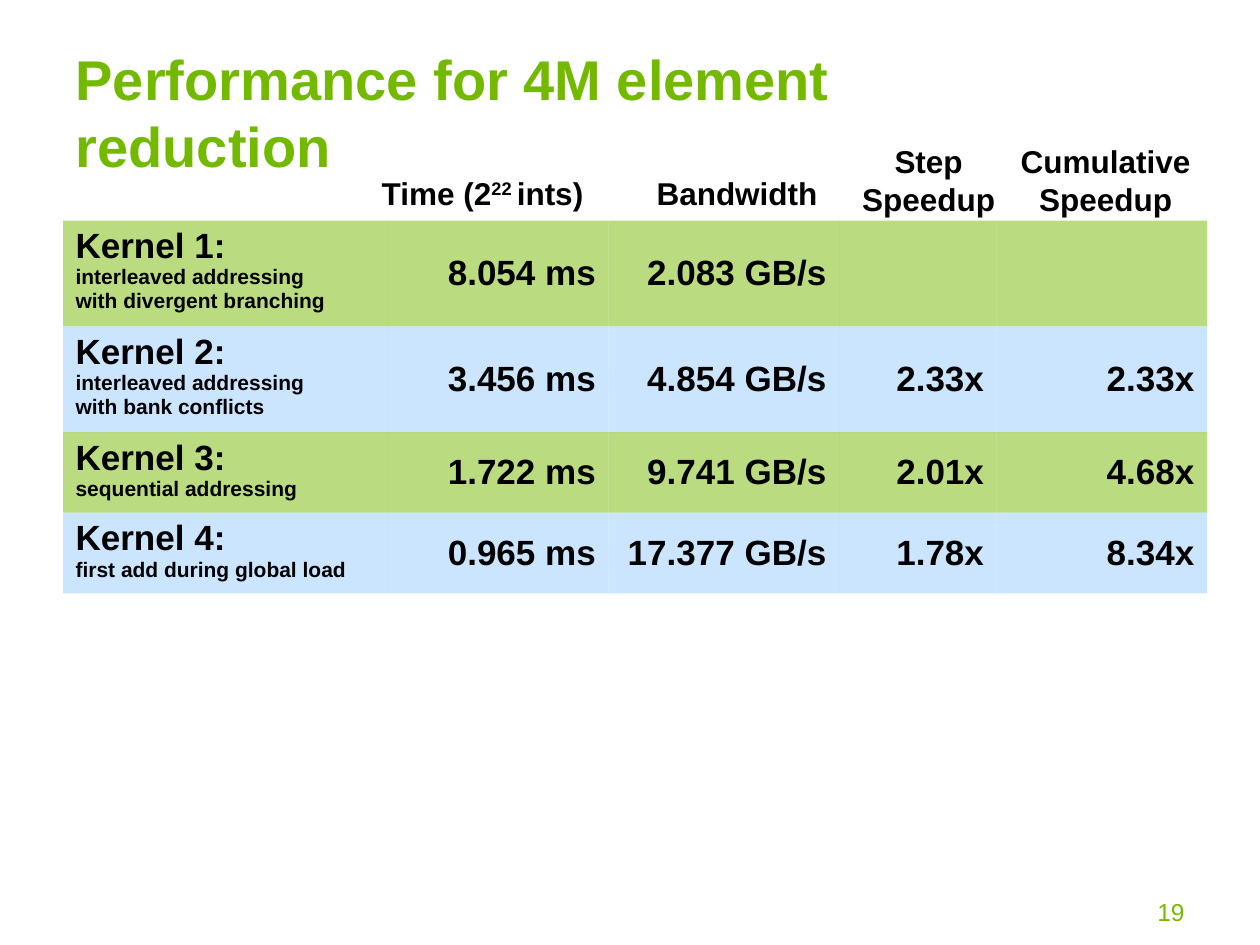
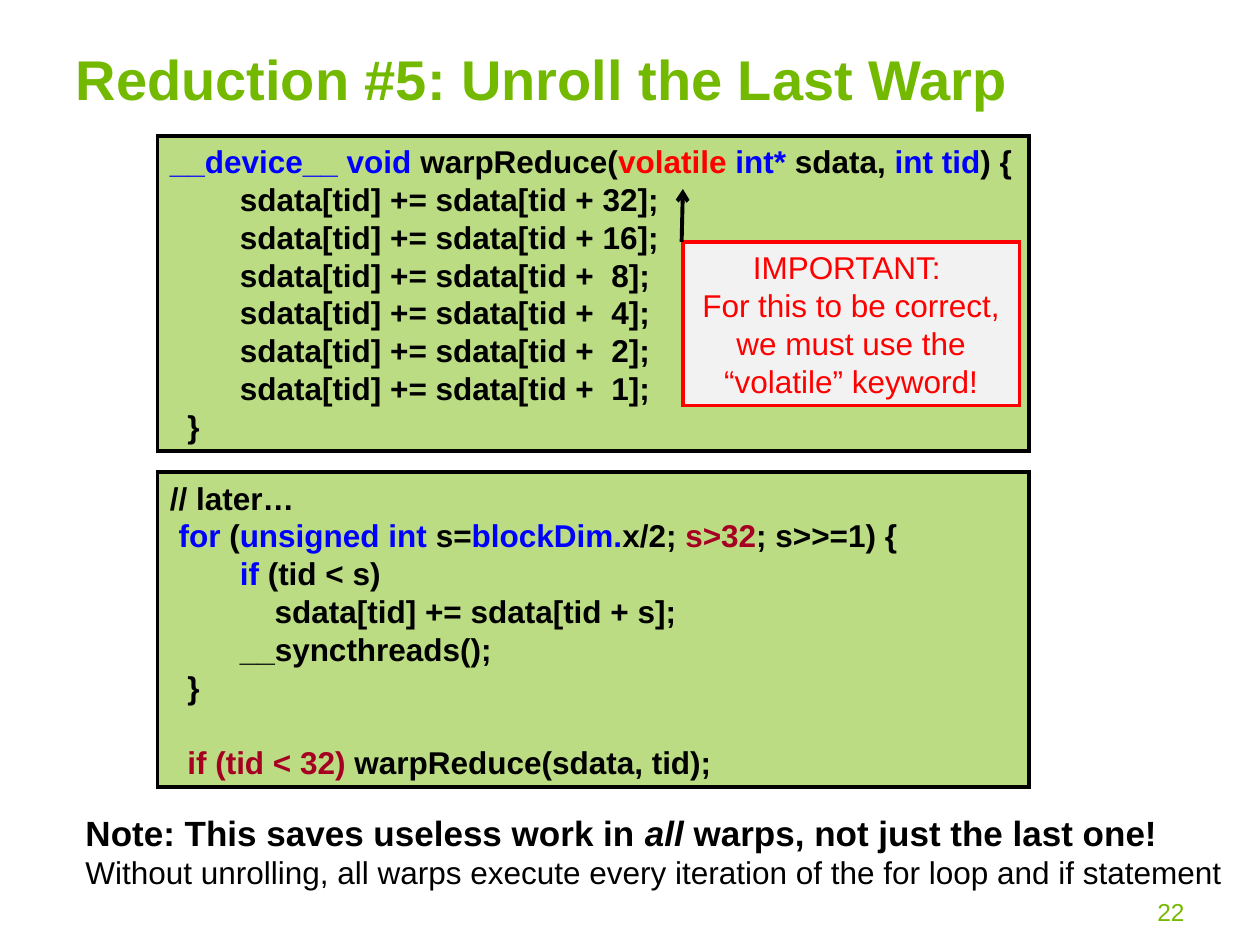
from dataclasses import dataclass

from lxml import etree
from pptx import Presentation
from pptx.dml.color import RGBColor
from pptx.enum.shapes import MSO_CONNECTOR, MSO_SHAPE
from pptx.enum.text import MSO_ANCHOR, MSO_AUTO_SIZE, PP_ALIGN
from pptx.oxml.ns import qn
from pptx.util import Inches, Pt


@dataclass(frozen=True)
class Theme:
    font: str = "Arial"
    title: str = "73B900"
    green: str = "76B900"
    blue: str = "99CCFF"
    black: str = "000000"
    keyword: str = "0000FF"
    alert: str = "FF0000"
    changed: str = "A50021"
    callout: str = "F2F2F2"
    title_size: int = 32
    big: int = 20
    text: int = 18
    page: int = 14
    small: int = 12


T = Theme()
NO_TABLE_STYLE = "{2D5ABB26-0587-4C30-8999-92F81FD0307C}"

# A line is a list of (text, format) runs.
KEY, ALERT, CHANGED = ({"color": c} for c in (T.keyword, T.alert, T.changed))
PLAIN = {}

TABLE_TITLE = "Performance for 4M element reduction"
HEADINGS = [  # left, top, width, height, runs
    (2.93, 1.33, 1.8, 0.4,
     [("Time (2", PLAIN), ("22 ", {"baseline": 30000}), ("ints)", PLAIN)]),
    (5.11, 1.33, 1.48, 0.4, [("Bandwidth", PLAIN)]),
    (6.71, 1.08, 1.32, 0.7, [("Step\vSpeedup", PLAIN)]),
    (8, 1.08, 1.55, 0.7, [("Cumulative\vSpeedup", PLAIN)]),
]
KERNELS = [  # name, description, measured values
    ("Kernel 1:", "interleaved addressing\vwith divergent branching",
     ["8.054 ms", "2.083 GB/s", "", ""]),
    ("Kernel 2:", "interleaved addressing\vwith bank conflicts",
     ["3.456 ms", "4.854 GB/s", "2.33x", "2.33x"]),
    ("Kernel 3:", "sequential addressing",
     ["1.722 ms", "9.741 GB/s", "2.01x", "4.68x"]),
    ("Kernel 4:", "first add during global load",
     ["0.965 ms", "17.377 GB/s", "1.78x", "8.34x"]),
]
COLUMN_WIDTHS = [2.58, 1.75, 1.83, 1.25, 1.67]
ROW_HEIGHTS = [0.84, 0.84, 0.64, 0.64]

CODE_TITLE = "Reduction #5: Unroll the Last Warp"
WARP_CODE = [
    [("__device__ void ", KEY), ("warpReduce(", PLAIN), ("volatile", ALERT),
     (" int* ", KEY), ("sdata,", PLAIN), (" int tid", KEY), (") {", PLAIN)],
    *[[(f"        sdata[tid] += sdata[tid + {n:2d}];", PLAIN)]
      for n in (32, 16, 8, 4, 2, 1)],
    [("  }", PLAIN)],
]
LOOP_CODE = [
    [("// later…", PLAIN)],
    [(" for ", KEY), ("(", PLAIN), ("unsigned int ", KEY), ("s=", PLAIN),
     ("blockDim.", KEY), ("x/2; ", PLAIN), ("s>32", CHANGED),
     ("; s>>=1) {", PLAIN)],
    [("        ", PLAIN), ("if ", KEY), ("(tid < s)", PLAIN)],
    [("            sdata[tid] += sdata[tid + s];", PLAIN)],
    [("        __syncthreads();", PLAIN)],
    [("  }", PLAIN)],
    [("  ", PLAIN), ("if (tid < 32) ", CHANGED),
     ("warpReduce(sdata, tid);", PLAIN)],
]
# top, text width, space before the last line in points, lines
CODE_BLOCKS = [(1.08, 6.95, 0, WARP_CODE), (3.75, 7, 21.5, LOOP_CODE)]
CALLOUT = ("IMPORTANT: \vFor this to be correct,\v"
           "we must use the “volatile” keyword!")
HEADLINE = {"size": T.big, "bold": True}
NOTE = [
    [("Note: This saves useless work in ", HEADLINE),
     ("all", {**HEADLINE, "italic": True}),
     (" warps, not just the last one!", HEADLINE)],
    [("Without unrolling, all warps execute every iteration of the for loop "
      "and if statement", PLAIN)],
]


def add_runs(p, runs, **base):
    """Append formatted runs; each run's format overrides the base format."""
    for text, own in runs:
        fmt = {"name": T.font, "size": T.text, "color": T.black, **base, **own}
        color, baseline = fmt.pop("color"), fmt.pop("baseline", None)
        fmt["size"] = Pt(fmt["size"])
        for i, part in enumerate(text.split("\v")):
            if i:
                p.add_line_break()
            if not part:
                continue
            r = p.add_run()
            r.text = part
            for name, value in fmt.items():
                setattr(r.font, name, value)
            r.font.color.rgb = RGBColor.from_string(color)
            if baseline:
                r.font._element.set("baseline", str(baseline))


def write(tf, lines, align=PP_ALIGN.LEFT, wrap=True, anchor=MSO_ANCHOR.TOP,
          **base):
    tf.word_wrap, tf.vertical_anchor = wrap, anchor
    for i, runs in enumerate(lines):
        p = tf.add_paragraph() if i else tf.paragraphs[0]
        p.alignment = align
        add_runs(p, runs, **base)


def add_text(s, box, lines, **fmt):
    tf = s.shapes.add_textbox(*map(Inches, box)).text_frame
    write(tf, lines, **fmt)
    return tf


def set_fill(fill, color, opacity=100):
    fill.solid()
    fill.fore_color.rgb = RGBColor.from_string(color)
    if opacity < 100:
        clr = fill._xPr.find(qn("a:solidFill"))[0]
        etree.SubElement(clr, qn("a:alpha"), val=str(opacity * 1000))


def set_line(line, color, width):
    """Give a line its colour, width and square corners."""
    line.color.rgb = RGBColor.from_string(color)
    line.width = Pt(width)
    etree.SubElement(line._get_or_add_ln(), qn("a:miter"), lim="800000")


def add_box(s, box, fill, line, width, opacity=100):
    sp = s.shapes.add_shape(MSO_SHAPE.RECTANGLE, *map(Inches, box))
    sp.shadow.inherit = False
    set_fill(sp.fill, fill, opacity)
    set_line(sp.line, line, width)
    return sp


def add_slide(prs, title, title_height, number):
    s = prs.slides.add_slide(prs.slide_layouts[5])
    sp = s.shapes.title
    sp.left, sp.top, sp.width, sp.height = map(
        Inches, (0.5, 0.3, 8.33, title_height))
    write(sp.text_frame, [[(title, PLAIN)]], size=T.title_size,
          color=T.title, bold=True)
    sp.text_frame.auto_size = MSO_AUTO_SIZE.NONE
    add_text(s, (7.17, 7.07, 2.33, 0.35), [[(str(number), PLAIN)]],
             align=PP_ALIGN.RIGHT, size=T.page, color=T.green)
    return s


def add_kernel_table(s):
    frame = s.shapes.add_table(
        len(KERNELS), len(COLUMN_WIDTHS), Inches(0.5), Inches(1.75),
        Inches(sum(COLUMN_WIDTHS)), Inches(sum(ROW_HEIGHTS)))
    table = frame.table
    table.first_row = table.horz_banding = False
    table._tbl.tblPr.find(qn("a:tableStyleId")).text = NO_TABLE_STYLE
    for column, width in zip(table.columns, COLUMN_WIDTHS):
        column.width = Inches(width)
    for i, (name, description, values) in enumerate(KERNELS):
        table.rows[i].height = Inches(ROW_HEIGHTS[i])
        label = [(name + "\v", {"size": T.big}),
                 (description, {"size": T.small})]
        for j, runs in enumerate([label] + [[(v, PLAIN)] for v in values]):
            cell = table.cell(i, j)
            set_fill(cell.fill, T.blue if i % 2 else T.green, 50)
            p = cell.text_frame.paragraphs[0]
            if j:
                cell.vertical_anchor = MSO_ANCHOR.MIDDLE
                p.alignment = PP_ALIGN.RIGHT
            add_runs(p, runs, **{"size": T.big, "bold": True})


def add_arrow(s, start, end):
    sp = s.shapes.add_connector(
        MSO_CONNECTOR.STRAIGHT, *map(Inches, start + end))
    set_line(sp.line, T.black, 2.25)
    etree.SubElement(sp.line._get_or_add_ln(), qn("a:tailEnd"), type="arrow")
    etree.SubElement(sp._element.spPr, qn("a:effectLst"))


def build_performance(prs):
    s = add_slide(prs, TABLE_TITLE, 1.17, 19)
    add_kernel_table(s)
    for *box, runs in HEADINGS:
        add_text(s, box, [runs], align=PP_ALIGN.CENTER, wrap=False, bold=True)


def build_unrolling(prs):
    s = add_slide(prs, CODE_TITLE, 0.63, 22)
    for top, width, gap, lines in CODE_BLOCKS:
        add_box(s, (1.25, top, 6.92, 2.5), T.green, T.black, 2.25, opacity=49)
        tf = add_text(s, (1.25, top, width, 2.5), lines, bold=True)
        tf.paragraphs[-1].space_before = Pt(gap)
    add_text(s, (0.58, 6.39, 9.22, 0.74), NOTE, wrap=False)
    sp = add_box(s, (5.42, 1.92, 2.67, 1.3), T.callout, T.alert, 2)
    write(sp.text_frame, [[(CALLOUT, PLAIN)]], align=PP_ALIGN.CENTER,
          anchor=MSO_ANCHOR.MIDDLE, color=T.alert)
    add_arrow(s, (5.41, 1.92), (5.42, 1.5))


def main():
    prs = Presentation()
    prs.slide_width, prs.slide_height = Inches(10), Inches(7.5)
    build_performance(prs)
    build_unrolling(prs)
    prs.save("out.pptx")


if __name__ == "__main__":
    main()
